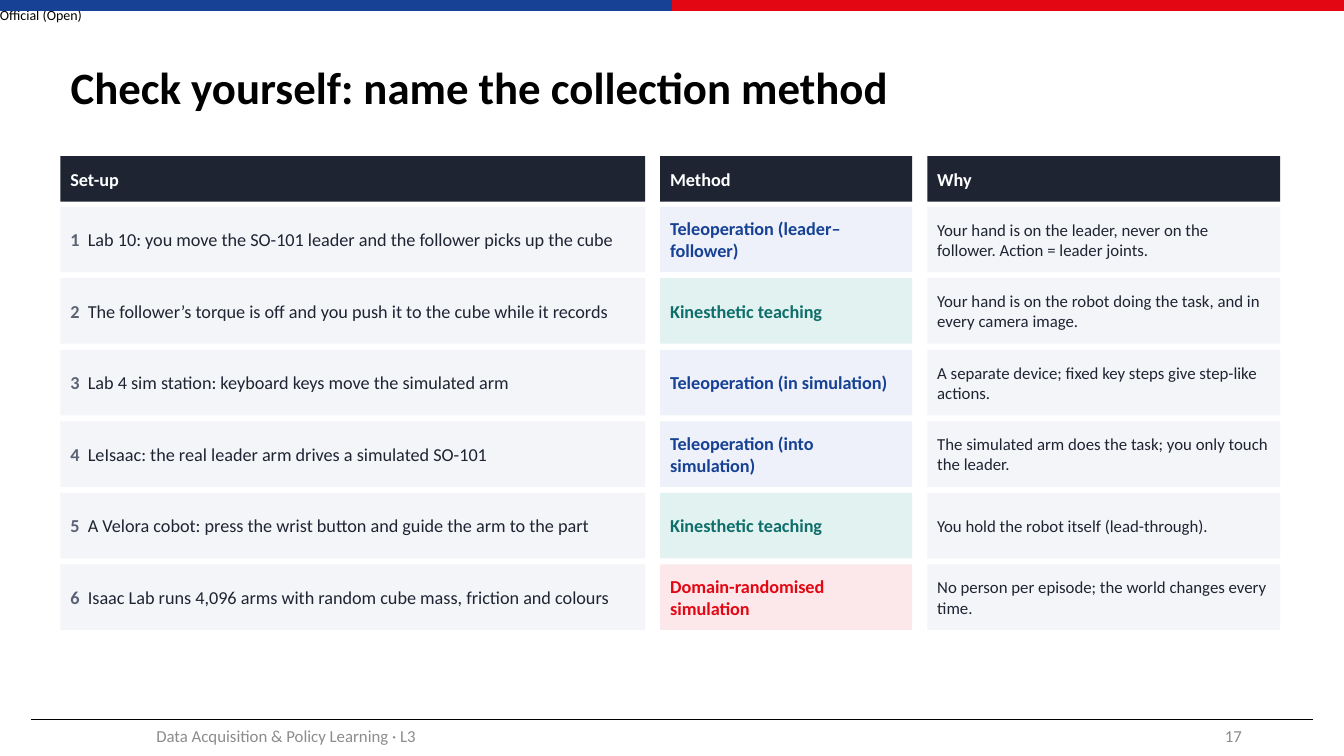
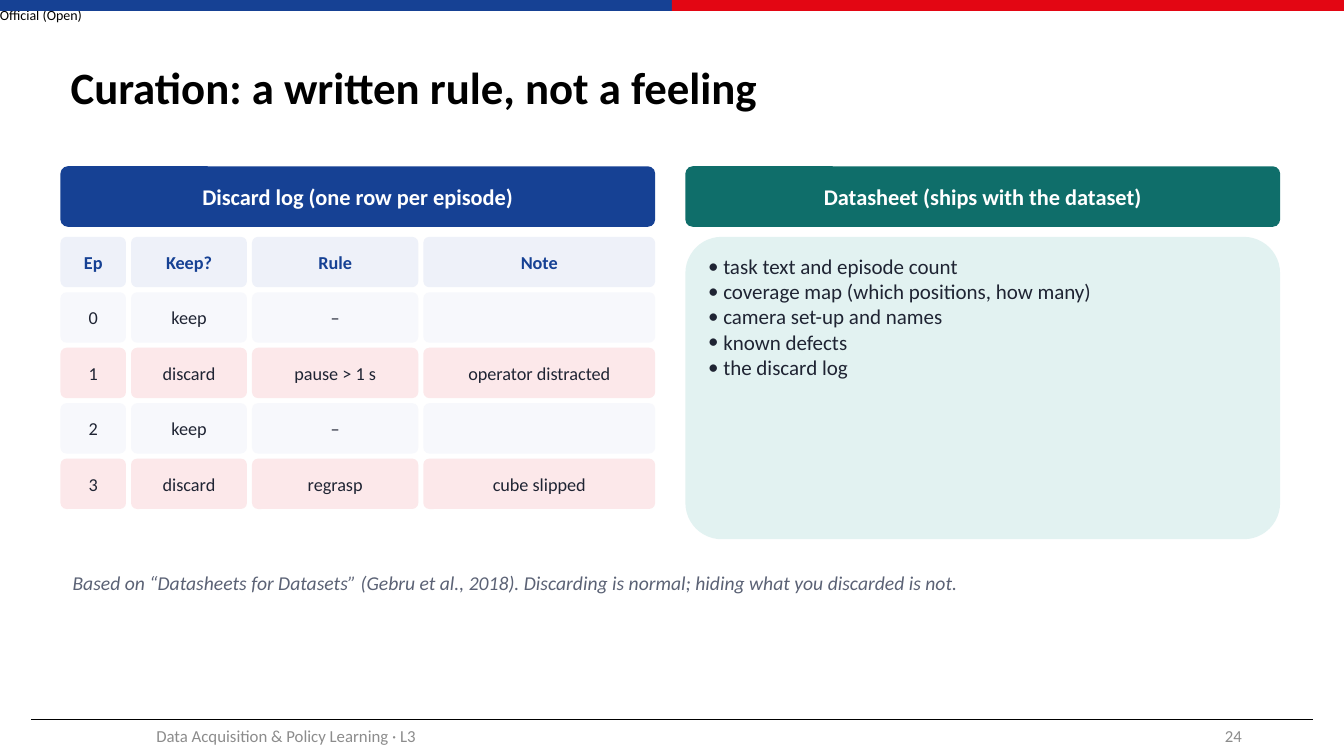
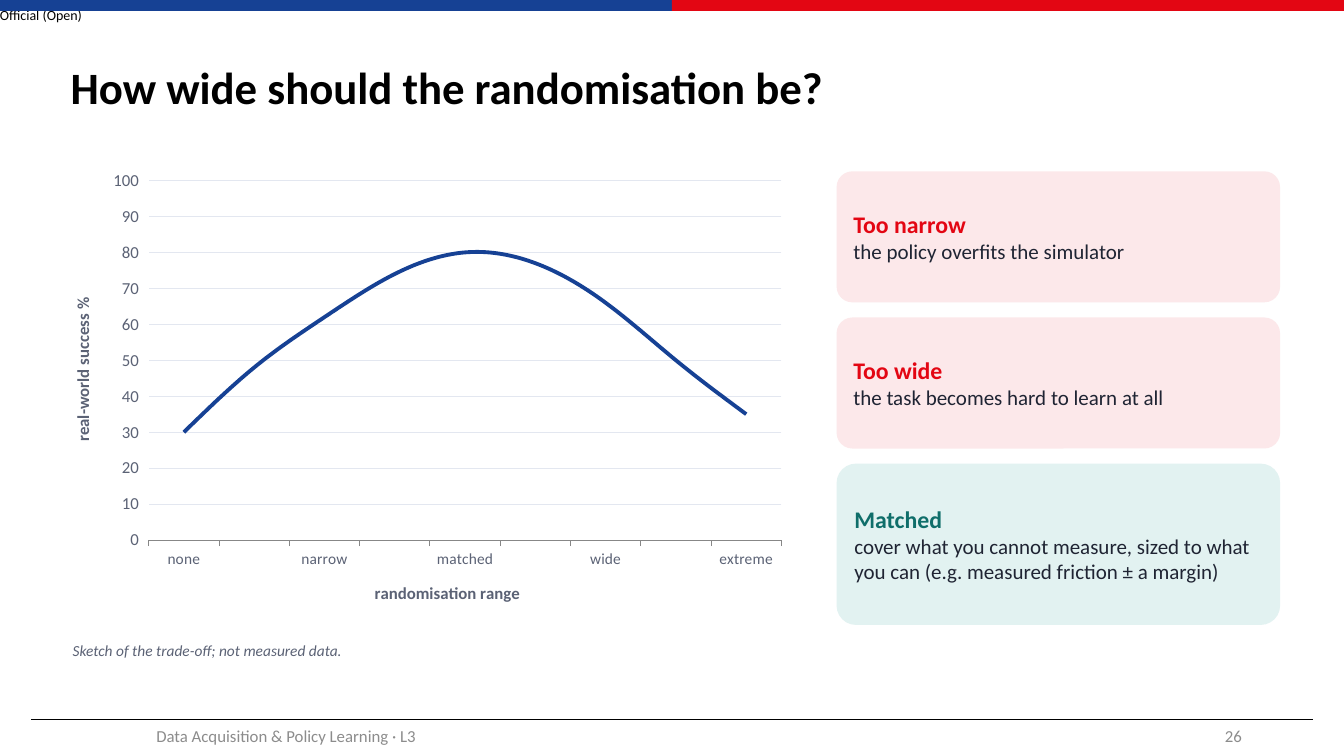
from itertools import accumulate

from pptx import Presentation
from pptx.chart.data import CategoryChartData
from pptx.dml.color import RGBColor
from pptx.enum.chart import XL_CHART_TYPE, XL_TICK_MARK
from pptx.enum.shapes import MSO_CONNECTOR, MSO_SHAPE
from pptx.enum.text import MSO_ANCHOR, MSO_AUTO_SIZE, PP_ALIGN
from pptx.oxml.ns import qn
from pptx.util import Pt
from lxml.etree import SubElement

FONT = "Calibri"
COLORS = {
    "black": "000000", "white": "FFFFFF", "ink": "1F2433", "slate": "5B6275",
    "footer": "8C8C8C", "blue": "164194", "red": "E30613", "teal": "0F6E6A",
    "pale_blue": "EEF1F9", "pale_red": "FCE8EA", "pale_teal": "E2F2F1",
    "cell": "F4F5F8", "pale_cell": "F7F8FC", "grid": "E3E7F0",
}
LEFT, CONTENT_W = 43.2, 871.2
CARD_INSETS = (8.64, 4.32, 8.64, 4.32)
PLAIN_INSETS = (7.2, 3.6, 7.2, 3.6)

METHOD_STYLES = {
    "Teleoperation": ("pale_blue", "blue"),
    "Kinesthetic": ("pale_teal", "teal"),
    "Domain-randomised": ("pale_red", "red"),
}
SETUPS = [
    ("Lab 10: you move the SO-101 leader and the follower picks up the cube",
     "Teleoperation (leader–follower)",
     "Your hand is on the leader, never on the follower. Action = leader joints."),
    ("The follower’s torque is off and you push it to the cube while it records",
     "Kinesthetic teaching",
     "Your hand is on the robot doing the task, and in every camera image."),
    ("Lab 4 sim station: keyboard keys move the simulated arm",
     "Teleoperation (in simulation)",
     "A separate device; fixed key steps give step-like actions."),
    ("LeIsaac: the real leader arm drives a simulated SO-101",
     "Teleoperation (into simulation)",
     "The simulated arm does the task; you only touch the leader."),
    ("A Velora cobot: press the wrist button and guide the arm to the part",
     "Kinesthetic teaching",
     "You hold the robot itself (lead-through)."),
    ("Isaac Lab runs 4,096 arms with random cube mass, friction and colours",
     "Domain-randomised simulation",
     "No person per episode; the world changes every time."),
]
EPISODES = [
    ("0", "keep", "–", ""),
    ("1", "discard", "pause > 1 s", "operator distracted"),
    ("2", "keep", "–", ""),
    ("3", "discard", "regrasp", "cube slipped"),
]
DATASHEET = ["task text and episode count", "coverage map (which positions, how many)",
             "camera set-up and names", "known defects", "the discard log"]
VERDICTS = [
    ("Too narrow", "the policy overfits the simulator", "red", 93.6),
    ("Too wide", "the task becomes hard to learn at all", "red", 93.6),
    ("Matched", "cover what you cannot measure, sized to what you can "
     "(e.g. measured friction ± a margin)", "teal", 115.2),
]


def rgb(name):
    """Return the named colour."""
    return RGBColor.from_string(COLORS[name])


def style(font, size, color, **values):
    """Format a font from a dict of values."""
    for key, value in {"name": FONT, "size": Pt(size), **values}.items():
        setattr(font, key, value)
    font.color.rgb = rgb(color)


def run(text, size, color, **values):
    """Describe one formatted run."""
    return text, {"size": size, "color": color, **values}


def place(sp, box):
    """Move a shape to a box given in points."""
    for key, value in zip(("left", "top", "width", "height"), box):
        setattr(sp, key, Pt(value))


def set_frame(tf, anchor, insets, wrap=True):
    """Set anchor, wrapping and insets of a text frame."""
    values = {"vertical_anchor": anchor, "word_wrap": wrap, "auto_size": MSO_AUTO_SIZE.NONE}
    sides = ("margin_left", "margin_top", "margin_right", "margin_bottom")
    values.update(zip(sides, map(Pt, insets)))
    for key, value in values.items():
        setattr(tf, key, value)


def write(tf, paragraphs, align=PP_ALIGN.LEFT, tab=None):
    """Fill a text frame with paragraphs made of runs."""
    for i, runs in enumerate(paragraphs):
        p = tf.paragraphs[0] if i == 0 else tf.add_paragraph()
        if tab:
            tabs = SubElement(p._p.get_or_add_pPr(), qn("a:tabLst"))
            SubElement(tabs, qn("a:tab"), pos=str(Pt(tab)), algn="l")
        p.alignment = align
        for text, values in runs:
            r = p.add_run()
            r.text = text
            style(r.font, **values)


def add_text(s, box, paragraphs, anchor=MSO_ANCHOR.MIDDLE, insets=PLAIN_INSETS,
             align=PP_ALIGN.LEFT, wrap=True):
    """Add a text box."""
    sp = s.shapes.add_textbox(*map(Pt, box))
    set_frame(sp.text_frame, anchor, insets, wrap)
    write(sp.text_frame, paragraphs, align)
    return sp


def add_block(s, box, fill, paragraphs=(), rounded=False, align=PP_ALIGN.LEFT, tab=None):
    """Add a flat filled rectangle with text."""
    kind = MSO_SHAPE.ROUNDED_RECTANGLE if rounded else MSO_SHAPE.RECTANGLE
    sp = s.shapes.add_shape(kind, *map(Pt, box))
    sp.shadow.inherit = False
    sp.fill.solid()
    sp.fill.fore_color.rgb = rgb(fill)
    sp.line.fill.background()
    if rounded:
        sp.adjustments[0] = 0.12
    set_frame(sp.text_frame, MSO_ANCHOR.MIDDLE, CARD_INSETS if rounded else PLAIN_INSETS)
    write(sp.text_frame, paragraphs, align, tab)
    return sp


def columns(left, widths, gap):
    """Return left and width of each column."""
    offsets = accumulate((w + gap for w in widths[:-1]), initial=left)
    return list(zip(offsets, widths))


def furnish_master(prs, s):
    """Put the bands, the marking and the footer rule on the master."""
    marking = add_text(s, (0, 0, 81.4, 20.9), [[run("Official (Open)", 10, "black")]],
                       insets=(0, 0, 0, 0), wrap=False)
    marking.text_frame.auto_size = MSO_AUTO_SIZE.SHAPE_TO_FIT_TEXT
    bands = [add_block(s, (x, 0, 480, 7.8), fill) for x, fill in ((0, "blue"), (480, "red"))]
    rule = s.shapes.add_connector(MSO_CONNECTOR.STRAIGHT, Pt(22.3), Pt(514), Pt(938), Pt(514))
    rule.line.color.rgb = rgb("black")
    rule.line.width = Pt(0.5)
    SubElement(rule.element.spPr, qn("a:effectLst"))
    for sp in (marking, *bands, rule):
        prs.slide_master.element.cSld.spTree.append(sp.element)


def new_slide(prs, layout, title, number):
    """Add a slide with its title and footer."""
    s = prs.slides.add_slide(prs.slide_layouts[layout])
    sp = s.shapes.title
    place(sp, (LEFT, 21.6, 870, 85))
    set_frame(sp.text_frame, MSO_ANCHOR.MIDDLE, PLAIN_INSETS)
    write(sp.text_frame, [[run(title, 32, "black", bold=True)]])
    sp.text_frame.paragraphs[0].line_spacing = 0.9
    add_text(s, (42.5, 511.2, 324, 28.8),
             [[run("Data Acquisition & Policy Learning · L3", 12, "footer")]],
             align=PP_ALIGN.CENTER)
    add_text(s, (678.2, 511.2, 216, 28.8), [[run(str(number), 12, "footer")]],
             align=PP_ALIGN.RIGHT)
    return s


def method_grid(s, left, top):
    """Draw the set-up, method and why grid."""
    cols = columns(left, (417.6, 180, 252), 10.8)
    for (x, w), head in zip(cols, ("Set-up", "Method", "Why")):
        add_block(s, (x, top, w, 32.4), "ink", [[run(head, 13, "white", bold=True)]])
    for i, (setup, method, why) in enumerate(SETUPS):
        fill, color = METHOD_STYLES[method.split()[0]]
        cells = [
            ("cell", [run(f"{i + 1}\t", 13, "slate", bold=True), run(setup, 13, "ink")], 12.5),
            (fill, [run(method, 13, color, bold=True)], None),
            ("cell", [run(why, 12, "ink")], None),
        ]
        y = top + 36 + i * 51.12
        for (x, w), (cell_fill, runs, tab) in zip(cols, cells):
            add_block(s, (x, y, w, 46.8), cell_fill, [runs], tab=tab)


def panel_heading(s, left, top, width, text, fill):
    """Draw the heading bar of a panel."""
    add_block(s, (left, top, width, 43.2), fill, [[run(text, 16, "white", bold=True)]],
              rounded=True, align=PP_ALIGN.CENTER)


def discard_log(s, left, top, width):
    """Draw the discard log panel."""
    panel_heading(s, left, top, width, "Discard log (one row per episode)", "blue")
    cols = columns(left, (46.8, 82.8, 118.8, 165.6), 3.6)
    for i, row in enumerate([("Ep", "Keep?", "Rule", "Note"), *EPISODES]):
        fill, color = "pale_cell", "ink"
        if i == 0:
            fill, color = "pale_blue", "blue"
        elif row[1] == "discard":
            fill = "pale_red"
        for (x, w), text in zip(cols, row):
            paragraphs = [[run(text, 13, color, bold=i == 0)]] if text else []
            add_block(s, (x, top + 50.4 + i * 39.6, w, 36), fill, paragraphs,
                      rounded=True, align=PP_ALIGN.CENTER)


def datasheet(s, left, top, width):
    """Draw the datasheet panel with its bullet list."""
    panel_heading(s, left, top, width, "Datasheet (ships with the dataset)", "teal")
    box = (left, top + 50.4, width, 216)
    add_block(s, box, "pale_teal", rounded=True)
    body = s.placeholders[1]
    place(body, box)
    body.element.getparent().append(body.element)
    tf = body.text_frame
    set_frame(tf, MSO_ANCHOR.TOP, (16.2, 11.9, 16.2, 11.9))
    for i, text in enumerate(DATASHEET):
        p = tf.paragraphs[0] if i == 0 else tf.add_paragraph()
        pPr = p._p.get_or_add_pPr()
        pPr.set("marL", str(Pt(10.8)))
        pPr.set("indent", str(Pt(-10.8)))
        SubElement(pPr, qn("a:buFont"), typeface=FONT)
        SubElement(pPr, qn("a:buChar"), char="•")
        p.space_before = Pt(0)
        r = p.add_run()
        r.text = text
        style(r.font, 15, "ink")


def success_chart(s, box):
    """Draw the line chart of success against randomisation range."""
    data = CategoryChartData()
    data.categories = ["none", "", "narrow", "", "matched", "", "wide", "", "extreme"]
    data.add_series("Series 1", (30, 48, 62, 74, 80, 77, 66, 50, 35))
    chart = s.shapes.add_chart(XL_CHART_TYPE.LINE, *map(Pt, box), data).chart
    chart.has_legend = chart.has_title = False
    style(chart.font, 12, "slate")
    plot = chart.plots[0]
    plot.vary_by_categories = False
    line = plot.series[0]
    line.smooth = True
    line.format.line.color.rgb = rgb("blue")
    line.format.line.width = Pt(2.75)
    x_axis, y_axis = chart.category_axis, chart.value_axis
    for axis, title, size in ((x_axis, "randomisation range", 11),
                              (y_axis, "real-world success %", 12)):
        axis.major_tick_mark = XL_TICK_MARK.OUTSIDE
        style(axis.tick_labels.font, size, "slate")
        write(axis.axis_title.text_frame, [[run(title, 12, "slate", bold=True)]],
              PP_ALIGN.CENTER)
    for key, value in {"minimum_scale": 0, "maximum_scale": 100, "major_unit": 10}.items():
        setattr(y_axis, key, value)
    y_axis.format.line.fill.background()
    grid = y_axis.major_gridlines.format.line
    grid.color.rgb = rgb("grid")
    grid.width = Pt(0.75)


def verdict_cards(s, left, top, width):
    """Stack the verdict cards."""
    for title, text, color, height in VERDICTS:
        add_block(s, (left, top, width, height), f"pale_{color}",
                  [[run(title, 17, color, bold=True)], [run(text, 15, "ink")]], rounded=True)
        top += height + 10.8


def caption(s, box, text, size):
    """Add an italic note."""
    add_text(s, box, [[run(text, size, "slate", italic=True)]],
             anchor=MSO_ANCHOR.TOP, insets=CARD_INSETS)


def main():
    """Build and save the slides."""
    prs = Presentation()
    prs.slide_width, prs.slide_height = Pt(960), Pt(540)

    s = new_slide(prs, 5, "Check yourself: name the collection method", 17)
    furnish_master(prs, s)
    method_grid(s, LEFT, 111.6)

    s = new_slide(prs, 1, "Curation: a written rule, not a feeling", 24)
    discard_log(s, LEFT, 118.8, 424.8)
    datasheet(s, 489.6, 118.8, 424.8)
    caption(s, (LEFT, 403.2, CONTENT_W, 50.4),
            "Based on “Datasheets for Datasets” (Gebru et al., 2018). "
            "Discarding is normal; hiding what you discarded is not.", 14)

    s = new_slide(prs, 5, "How wide should the randomisation be?", 26)
    success_chart(s, (36, 115.2, 532.8, 331.2))
    verdict_cards(s, 597.6, 122.4, 316.8)
    caption(s, (LEFT, 453.6, 532.8, 25.2), "Sketch of the trade-off; not measured data.", 11)

    prs.save("out.pptx")


if __name__ == "__main__":
    main()
